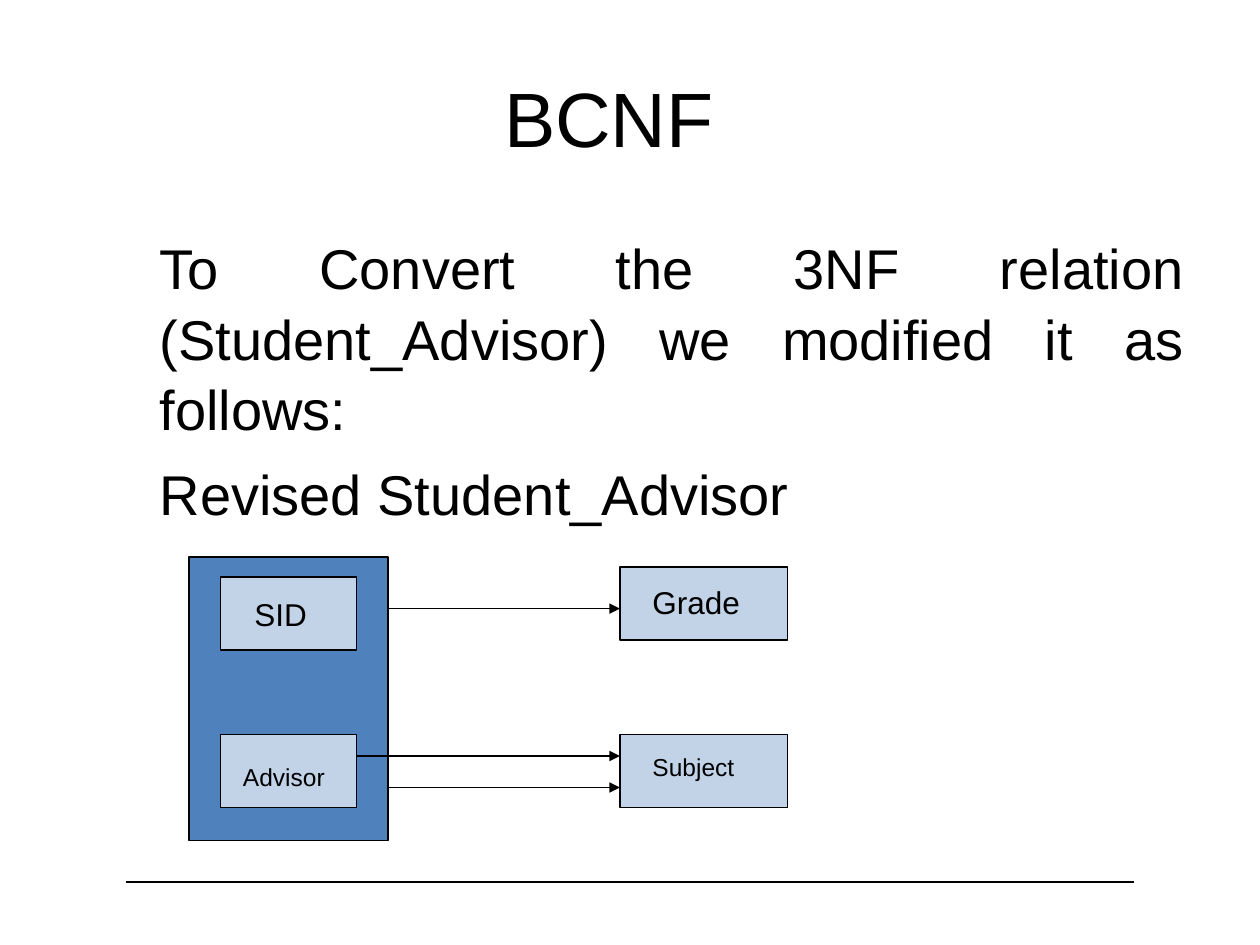
from lxml.etree import SubElement
from pptx import Presentation
from pptx.dml.color import RGBColor
from pptx.enum.shapes import MSO_CONNECTOR as CONN, MSO_SHAPE as SHAPE
from pptx.enum.text import MSO_ANCHOR as ANCHOR, PP_ALIGN as ALIGN
from pptx.oxml.ns import qn
from pptx.util import Inches, Pt

BLACK, BLUE, PALE = "000000", "4F81BD", "C2D3E8"
TITLE = "BCNF\t"
BODY = [
    ("To Convert the 3NF relation (Student_Advisor) we modified it as follows:", ALIGN.JUSTIFY),
    ("Revised Student_Advisor", ALIGN.LEFT),
]
KEY_BOX = (1.5, 4.42, 1.58, 2.25)
# attribute box, label, label box, text size
ATTRIBUTES = [
    ((1.75, 4.58, 1.08, 0.58), "SID", (1.92, 4.67, 0.92, 0.4), 18),
    ((1.75, 5.83, 1.08, 0.58), "Advisor", (1.83, 6, 0.92, 0.34), 14),
    ((4.92, 4.5, 1.33, 0.58), "Grade", (5.08, 4.58, 1.08, 0.4), 18),
    ((4.92, 5.83, 1.33, 0.58), "Subject", (5.08, 5.92, 0.92, 0.34), 14),
]
ARROW_END = 4.92
ARROWS = [(3.08, 4.83), (3.08, 6.25), (2.83, 6)]  # start x, y
WAVE = [
    (1.28, 6.94), (1.33, 6.91), (1.38, 6.9), (1.49, 6.9), (4.33, 6.89), (4.48, 6.86),
    (4.85, 6.84), (4.99, 6.83), (5.13, 6.81), (5.29, 6.79), (5.48, 6.78), (5.78, 6.76),
    (6.07, 6.75), (6.41, 6.73), (7.36, 6.7), (8.37, 6.71), (8.48, 6.72), (8.54, 6.74),
    (8.62, 6.75), (9.17, 6.77), (9.2, 6.78), (9.25, 6.78),
]


def color(hex_string):
    return RGBColor.from_string(hex_string)


def inches(values):
    return [Inches(v) for v in values]


def outline(shape):
    shape.line.color.rgb = color(BLACK)
    shape.line.width = Pt(0.75)


def add_run(p, text, size):
    r = p.add_run()
    r.text = text
    r.font.name = "Arial"
    r.font.size = Pt(size)
    r.font.color.rgb = color(BLACK)


def add_rect(shapes, box, fill):
    rect = shapes.add_shape(SHAPE.RECTANGLE, *inches(box))
    rect.shadow.inherit = False
    rect.fill.solid()
    rect.fill.fore_color.rgb = color(fill)
    outline(rect)


def add_textbox(shapes, box):
    tf = shapes.add_textbox(*inches(box)).text_frame
    tf.word_wrap = True
    return tf


def add_arrow(shapes, x, y):
    arrow = shapes.add_connector(CONN.STRAIGHT, *inches((x, y, ARROW_END, y)))
    outline(arrow)
    SubElement(arrow.line._get_or_add_ln(), qn("a:tailEnd"), type="triangle")
    SubElement(arrow._element.spPr, qn("a:effectLst"))


prs = Presentation()
prs.slide_width, prs.slide_height = inches((10, 7.5))
s = prs.slides.add_slide(prs.slide_layouts[5])

builder = s.shapes.build_freeform(*WAVE[0], scale=Inches(1))
builder.add_line_segments(WAVE[1:], close=False)
wave = builder.convert_to_shape()
wave.shadow.inherit = False
wave.fill.background()
outline(wave)

title = s.shapes.title
title.left, title.top, title.width, title.height = inches((0.5, 0.3, 9, 1.25))
title.text_frame.vertical_anchor = ANCHOR.MIDDLE
p = title.text_frame.paragraphs[0]
p.alignment = ALIGN.CENTER
add_run(p, TITLE, 44)

tf = add_textbox(s.shapes, (0.5, 1.75, 9, 5.42))
tf.margin_top = Inches(0.08)
for i, (text, align) in enumerate(BODY):
    p = tf.add_paragraph() if i else tf.paragraphs[0]
    p.alignment = align
    p.line_spacing = 1.05
    p.space_before = Pt(8 if i else 0)
    p._p.get_or_add_pPr().set("marL", str(Inches(0.67)))
    add_run(p, text, 32)

diagram = s.shapes.add_group_shape().shapes
add_rect(diagram, KEY_BOX, BLUE)
for box, label, label_box, size in ATTRIBUTES:
    add_rect(diagram, box, PALE)
    add_run(add_textbox(diagram, label_box).paragraphs[0], label, size)
for x, y in ARROWS:
    add_arrow(diagram, x, y)

prs.save("out.pptx")
